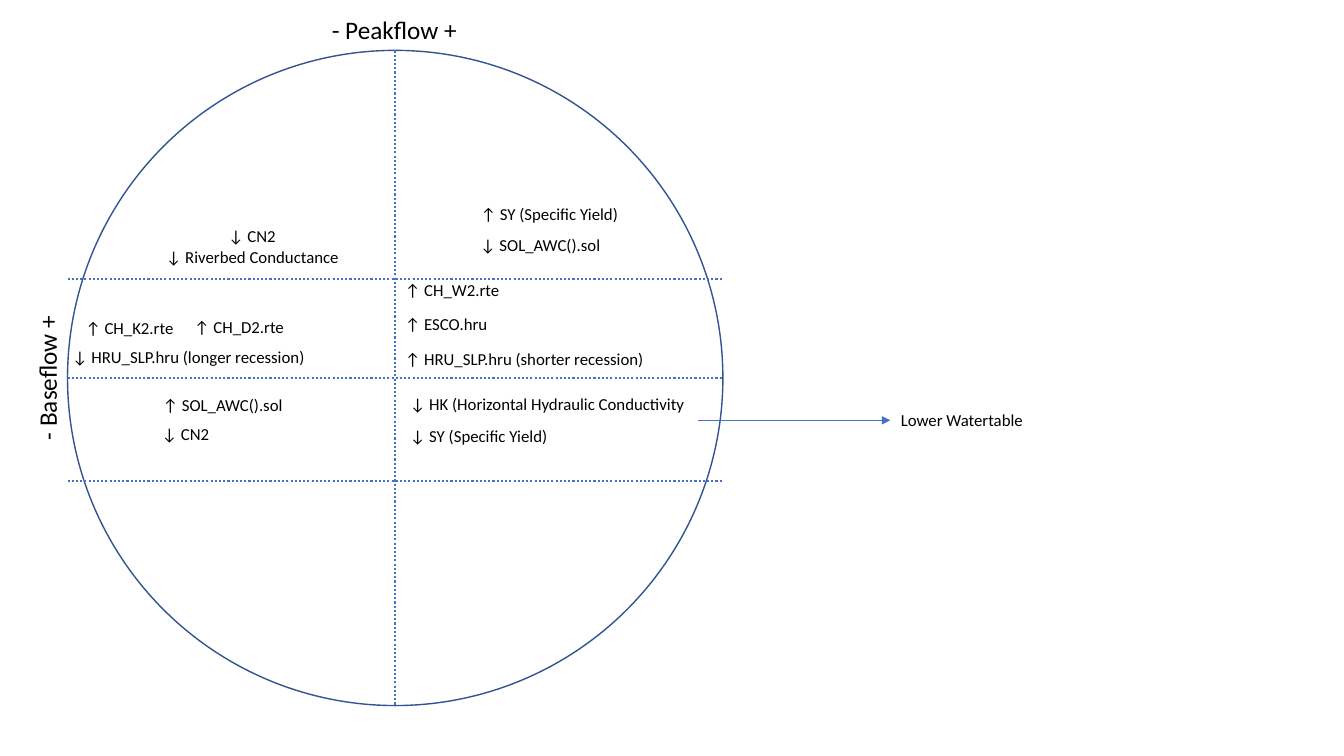
from pptx import Presentation
from pptx.dml.color import RGBColor
from pptx.enum.dml import MSO_LINE
from pptx.enum.shapes import MSO_CONNECTOR, MSO_SHAPE
from pptx.enum.text import MSO_AUTO_SIZE, PP_ALIGN
from pptx.oxml.ns import qn
from pptx.util import Inches, Pt
from lxml.etree import SubElement

BLACK = RGBColor(0x00, 0x00, 0x00)
BLUE = RGBColor(0x44, 0x72, 0xC4)
DARK_BLUE = RGBColor(0x32, 0x54, 0x91)
FONT = "Calibri"
CENTER, LEFT = PP_ALIGN.CENTER, PP_ALIGN.LEFT

# Square grid: every length below is in columns or rows of this size
CELL = Inches(0.1)
LABEL_H, AXIS_W, AXIS_H = 3, 14.5, 4

# Parameter labels: column and row from the circle's corner, width, alignment
UPPER_LEFT = [("↓ CN2", 14.9, 16.9, 6.8, CENTER),
              ("↓ Riverbed Conductance", 8.7, 19, 19.3, CENTER)]
UPPER_RIGHT = [("↑ SY (Specific Yield)", 39.9, 14.7, 15.8, CENTER),
               ("↓ SOL_AWC().sol", 39.9, 17.8, 14, CENTER)]
MIDDLE_LEFT = [("↑ CH_K2.rte", 0.8, 26, 11.2, LEFT),
               ("↑ CH_D2.rte", 11.6, 25.9, 11.4, LEFT),
               ("↓ HRU_SLP.hru (longer recession)", -0.5, 28.9, 26.1, LEFT)]
MIDDLE_RIGHT = [("↑ CH_W2.rte", 32.5, 22.3, 11.8, LEFT),
                ("↑ ESCO.hru", 32.5, 25.6, 10.2, LEFT),
                ("↑ HRU_SLP.hru (shorter recession)", 32.5, 29.1, 25.9, LEFT)]
LOWER_LEFT = [("↑ SOL_AWC().sol", 8.4, 33.7, 14, CENTER),
              ("↓ CN2", 8.3, 36.5, 6.8, CENTER)]
LOWER_RIGHT = [("↓ HK (Horizontal Hydraulic Conductivity", 33, 33.6, 29.5, LEFT),
               ("↓ SY (Specific Yield)", 33, 36.7, 15.8, LEFT)]
SECTORS = [UPPER_LEFT, UPPER_RIGHT, MIDDLE_LEFT, MIDDLE_RIGHT,
           LOWER_LEFT, LOWER_RIGHT]


def grid(*cells):
    return [round(c * CELL) for c in cells]


def add_label(s, text, x, y, w, h=LABEL_H, align=CENTER, size=12, rotation=0):
    sp = s.shapes.add_textbox(*grid(x, y, w, h))
    sp.rotation = rotation
    tf = sp.text_frame
    tf.word_wrap = False
    tf.auto_size = MSO_AUTO_SIZE.SHAPE_TO_FIT_TEXT
    p = tf.paragraphs[0]
    p.text, p.alignment = text, align
    p.font.name, p.font.size, p.font.color.rgb = FONT, Pt(size), BLACK


def add_line(s, x1, y1, x2, y2, width=1.5, dash=None, arrow=False):
    line = s.shapes.add_connector(MSO_CONNECTOR.STRAIGHT, *grid(x1, y1, x2, y2))
    line.line.color.rgb, line.line.width = BLUE, Pt(width)
    if dash:
        line.line.dash_style = dash
    if arrow:
        SubElement(line.line._get_or_add_ln(), qn("a:tailEnd"), type="triangle")
    SubElement(line._element.spPr, qn("a:effectLst"))


def add_circle(s, x, y, d):
    """Circle with its dotted dividers."""
    sp = s.shapes.add_shape(MSO_SHAPE.OVAL, *grid(x, y, d, d))
    sp.shadow.inherit = False
    sp.fill.background()
    sp.line.color.rgb, sp.line.width = DARK_BLUE, Pt(1)

    dots = MSO_LINE.ROUND_DOT
    mid = d / 2
    add_line(s, x + mid, y, x + mid, y + d, dash=dots)
    for offset in (-9.8, 0, 10.2):
        row = y + mid + offset
        add_line(s, x, row, x + d, row, dash=dots)


def add_axis_titles(s, x, y, d):
    """Peakflow above the circle, Baseflow turned along its left side."""
    mid = (d - AXIS_W) / 2
    add_label(s, "- Peakflow +", x + mid - 0.1, y - 4.1, AXIS_W, AXIS_H, size=18)
    add_label(s, "- Baseflow +", x - 9.3, y + (d - AXIS_H) / 2, AXIS_W, AXIS_H,
              size=18, rotation=270)


def add_sectors(s, x, y):
    """Parameter labels of every sector."""
    for sector in SECTORS:
        for text, col, row, w, align in sector:
            add_label(s, text, x + col, y + row, w, align=align)


def add_outcome(s, x, y, length):
    """Arrow out of the circle and the effect it leads to."""
    add_line(s, x, y, x + length, y, width=0.5, arrow=True)
    add_label(s, "Lower Watertable", x + length, y - LABEL_H / 2, 14.2)


prs = Presentation()
prs.slide_width, prs.slide_height = Inches(13.33), Inches(7.5)
s = prs.slides.add_slide(prs.slide_layouts[6])

cx, cy, diameter = 6.7, 5, 65
add_circle(s, cx, cy, diameter)
add_axis_titles(s, cx, cy, diameter)
add_sectors(s, cx, cy)
add_outcome(s, cx + 62.5, cy + 36.7, 19.1)

prs.save("out.pptx")
